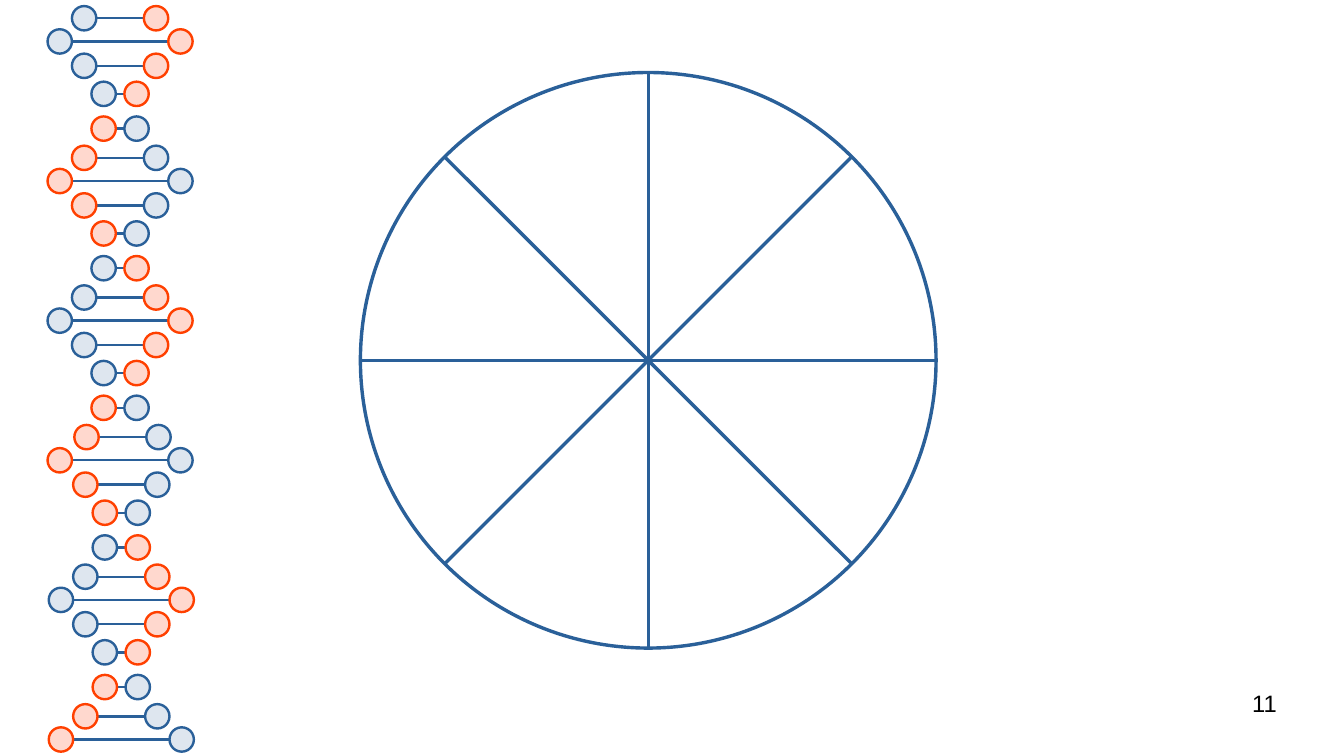
import math
import pptx
import pptx.util
import pptx.dml.color
import pptx.enum.shapes
import pptx.enum.text
import pptx.oxml.ns
from lxml import etree

PAGE_NUMBER = "11"
COLORS = {"blue": "2A6099", "pale_blue": "DEE6EF", "red": "FF4000",
          "pale_red": "FFD8CE", "text": "000000"}
BLUE_BEAD = ("pale_blue", "blue")
RED_BEAD = ("pale_red", "red")

HALF_TURN = [(0, 0.75, 1.02), (0.24, 0.59, 1.18), (0.43, 0.39, 1.38),
             (0.63, 0.59, 1.18), (0.86, 0.75, 1.02)]
FIRST_RUNG, LAST_RUNG = 1, 27
HELIX_TOP = -0.19
HALF_TURN_HEIGHT = 1.145
BEAD_SIZE = 0.2
HELIX_LINE = 1.42
LOWER_RUNG = 18
LOWER_SHIFT = 0.01
RUNG_SHIFTS = {16: 0.02}

WHEEL_CENTER = (5.315, 2.955)
WHEEL_RADIUS = 2.36
WHEEL_LINE = 2
SECTORS = 8

Inches = pptx.util.Inches
deck = pptx.Presentation()
deck.slide_width, deck.slide_height = Inches(11.02), Inches(6.2)
page = deck.slides.add_slide(deck.slide_layouts[6])


def color(name):
    return pptx.dml.color.RGBColor.from_string(COLORS[name])


def add_line(start, end, width):
    line = page.shapes.add_connector(
        pptx.enum.shapes.MSO_CONNECTOR.STRAIGHT, *map(Inches, start + end))
    line.line.color.rgb = color("blue")
    line.line.width = pptx.util.Pt(width)
    etree.SubElement(line._element.spPr, pptx.oxml.ns.qn("a:effectLst"))


def add_circle(left, top, size, fill, outline, width):
    circle = page.shapes.add_shape(
        pptx.enum.shapes.MSO_SHAPE.OVAL, *map(Inches, (left, top, size, size)))
    circle.shadow.inherit = False
    if fill:
        circle.fill.solid()
        circle.fill.fore_color.rgb = color(fill)
    else:
        circle.fill.background()
    circle.line.color.rgb = color(outline)
    circle.line.width = pptx.util.Pt(width)


def add_text(text, *, left, top, width, height, size, font, align):
    box = page.shapes.add_textbox(*map(Inches, (left, top, width, height)))
    frame = box.text_frame
    frame.word_wrap = True
    frame.margin_left = frame.margin_right = 0
    frame.margin_top = frame.margin_bottom = 0
    para = frame.paragraphs[0]
    para.alignment = align
    span = para.add_run()
    span.text = text
    span.font.size = pptx.util.Pt(size)
    span.font.name = font
    span.font.color.rgb = color("text")


beads = []
for rung in range(FIRST_RUNG, LAST_RUNG + 1):
    turn, step = divmod(rung, len(HALF_TURN))
    offset, left, right = HALF_TURN[step]
    shift = RUNG_SHIFTS.get(rung, LOWER_SHIFT if rung >= LOWER_RUNG else 0)
    left, right = left + shift, right + shift
    top = HELIX_TOP + turn * HALF_TURN_HEIGHT + offset
    middle = top + BEAD_SIZE / 2
    add_line((left + BEAD_SIZE, middle), (right, middle), HELIX_LINE)
    pair = (RED_BEAD, BLUE_BEAD) if turn % 2 else (BLUE_BEAD, RED_BEAD)
    beads += [(left, top, *pair[0]), (right, top, *pair[1])]

for left, top, fill, outline in beads:
    add_circle(left, top, BEAD_SIZE, fill, outline, HELIX_LINE)

center_x, center_y = WHEEL_CENTER
add_circle(center_x - WHEEL_RADIUS, center_y - WHEEL_RADIUS, 2 * WHEEL_RADIUS,
           None, "blue", WHEEL_LINE)
for spoke in range(SECTORS // 2):
    angle = 2 * math.pi * spoke / SECTORS
    reach_x = WHEEL_RADIUS * math.cos(angle)
    reach_y = WHEEL_RADIUS * math.sin(angle)
    add_line((center_x - reach_x, center_y - reach_y),
             (center_x + reach_x, center_y + reach_y), WHEEL_LINE)

add_text(PAGE_NUMBER, left=7.9, top=5.65, width=2.57, height=0.43,
         size=14, font="Arial", align=pptx.enum.text.PP_ALIGN.RIGHT)

deck.save("out.pptx")
